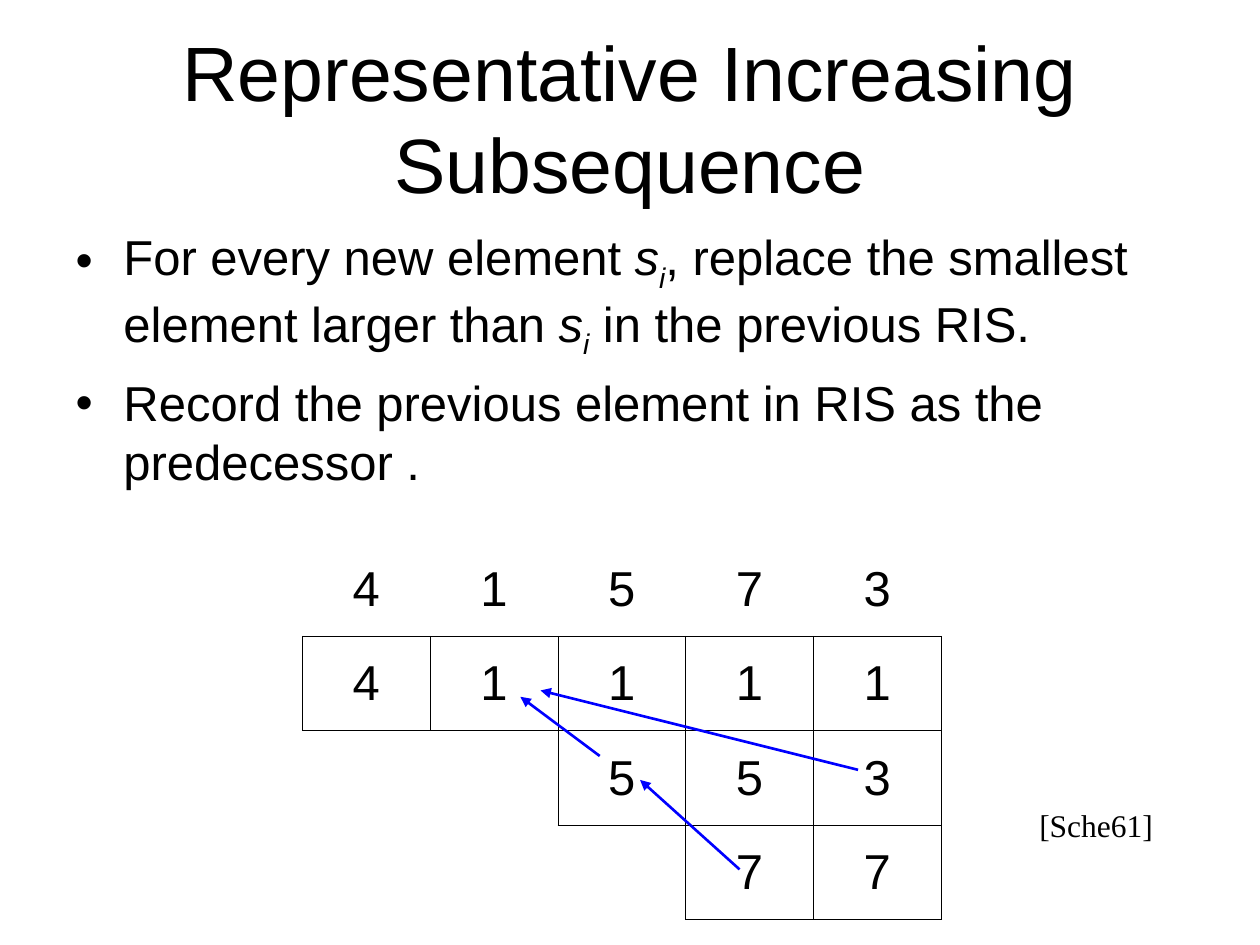
from lxml import etree
from pptx import Presentation
from pptx.dml.color import RGBColor
from pptx.enum.shapes import MSO_CONNECTOR
from pptx.enum.text import MSO_ANCHOR, MSO_AUTO_SIZE, PP_ALIGN
from pptx.oxml.ns import qn
from pptx.util import Inches, Pt

BLACK = RGBColor(0x00, 0x00, 0x00)
BLUE = RGBColor(0x00, 0x00, 0xFF)
CENTER = PP_ALIGN.CENTER
MIDDLE, TOP = MSO_ANCHOR.MIDDLE, MSO_ANCHOR.TOP
STRAIGHT = MSO_CONNECTOR.STRAIGHT
NO_FIT = MSO_AUTO_SIZE.NONE
FIT_SHAPE = MSO_AUTO_SIZE.SHAPE_TO_FIT_TEXT

BULLETS = [
    [("For every new element ", ""), ("s", "i"), ("i", "sub"),
     (", replace the smallest element larger than ", ""), ("s", "i"), ("i", "sub"),
     (" in the previous RIS.", "")],
    [("Record the previous element in RIS as the predecessor .", "")],
]
# The sequence, then the RIS after each element, read down the columns
RIS_ROWS = ["41573", "41111", "  553", "   77"]
PREDECESSORS = [
    ((4.76, 6), (4.13, 5.53)),
    ((5.87, 6.9), (5.08, 6.19)),
    ((6.81, 6.11), (4.29, 5.48)),
]


class SlideBuilder:
    font, size, border = "Arial", 28, 0.45

    def __init__(self, prs):
        self.s = prs.slides.add_slide(prs.slide_layouts[1])

    def run(self, p, text, size=None, font=None, style=""):
        r = p.add_run()
        r.text = text
        r.font.name = font or self.font
        r.font.size = Pt(size or self.size)
        r.font.color.rgb = BLACK
        if style:
            r.font.italic = True
        if style == "sub":
            r.font._element.set("baseline", "-25000")

    def place(self, sp, box, anchor):
        sp.left, sp.top, sp.width, sp.height = map(Inches, box)
        tf = sp.text_frame
        tf.word_wrap = True
        tf.auto_size = NO_FIT
        tf.vertical_anchor = anchor
        return tf

    def title(self, text, box):
        p = self.place(self.s.shapes.title, box, MIDDLE).paragraphs[0]
        p.alignment = CENTER
        self.run(p, text, 44)

    def bullets(self, items, box):
        tf = self.place(self.s.placeholders[1], box, TOP)
        for i, item in enumerate(items):
            p = tf.add_paragraph() if i else tf.paragraphs[0]
            pPr = p._p.get_or_add_pPr()
            pPr.set("marL", str(Inches(0.38)))
            pPr.set("indent", str(-Inches(0.38)))
            etree.SubElement(pPr, qn("a:buChar")).set("char", "•")
            p.space_before = Pt(7 if i else 0)
            for text, style in item:
                self.run(p, text, style=style)

    def staircase(self, rows, left, top, col_width, row_height):
        """Table whose first row is a plain header and whose filled cells below are boxed."""
        n_rows, n_cols = len(rows), len(rows[0])
        table = self.s.shapes.add_table(
            n_rows, n_cols, Inches(left), Inches(top),
            Inches(col_width * n_cols), Inches(row_height * n_rows)).table
        table.first_row = table.horz_banding = False

        def boxed(i, j):
            return 1 <= i < n_rows and 0 <= j < n_cols and rows[i][j] != " "

        for i, row in enumerate(rows):
            for j, text in enumerate(row):
                cell = table.cell(i, j)
                cell.fill.background()
                cell.vertical_anchor = MIDDLE
                if text != " ":
                    p = cell.text_frame.paragraphs[0]
                    p.alignment = CENTER
                    self.run(p, text)
                neighbours = {"L": (i, j - 1), "R": (i, j + 1), "T": (i - 1, j), "B": (i + 1, j)}
                self.cell_borders(cell, {side: boxed(i, j) or boxed(*other)
                                         for side, other in neighbours.items()})

    def cell_borders(self, cell, sides):
        tcPr = cell._tc.get_or_add_tcPr()
        for k, (side, visible) in enumerate(sides.items()):
            ln = etree.Element(qn(f"a:ln{side}"), w=str(Pt(self.border)))
            if visible:
                fill = etree.SubElement(ln, qn("a:solidFill"))
                etree.SubElement(fill, qn("a:srgbClr")).set("val", str(BLACK))
            else:
                etree.SubElement(ln, qn("a:noFill"))
            tcPr.insert(k, ln)

    def arrow(self, start, end):
        line = self.s.shapes.add_connector(STRAIGHT, *map(Inches, start + end))
        line.line.color.rgb = BLUE
        line.line.width = Pt(1.5)
        etree.SubElement(line.line._get_or_add_ln(), qn("a:tailEnd")).set("type", "triangle")
        etree.SubElement(line._element.spPr, qn("a:effectLst"))

    def label(self, text, box, size, font):
        tf = self.s.shapes.add_textbox(*map(Inches, box)).text_frame
        tf.word_wrap = False
        tf.auto_size = FIT_SHAPE
        self.run(tf.paragraphs[0], text, size, font)


def main():
    prs = Presentation()
    prs.slide_width, prs.slide_height = Inches(10), Inches(7.5)
    slide = SlideBuilder(prs)
    slide.title("Representative Increasing Subsequence", (0.5, 0.3, 9, 1.25))
    slide.bullets(BULLETS, (0.5, 1.75, 9, 4.95))
    slide.staircase(RIS_ROWS, 2.4, 4.3, 1.014, 0.75)
    for start, end in PREDECESSORS:
        slide.arrow(start, end)
    slide.label("[Sche61]", (8.15, 6.35, 1.1, 0.4), 18, "Times New Roman")
    prs.save("out.pptx")


if __name__ == "__main__":
    main()
